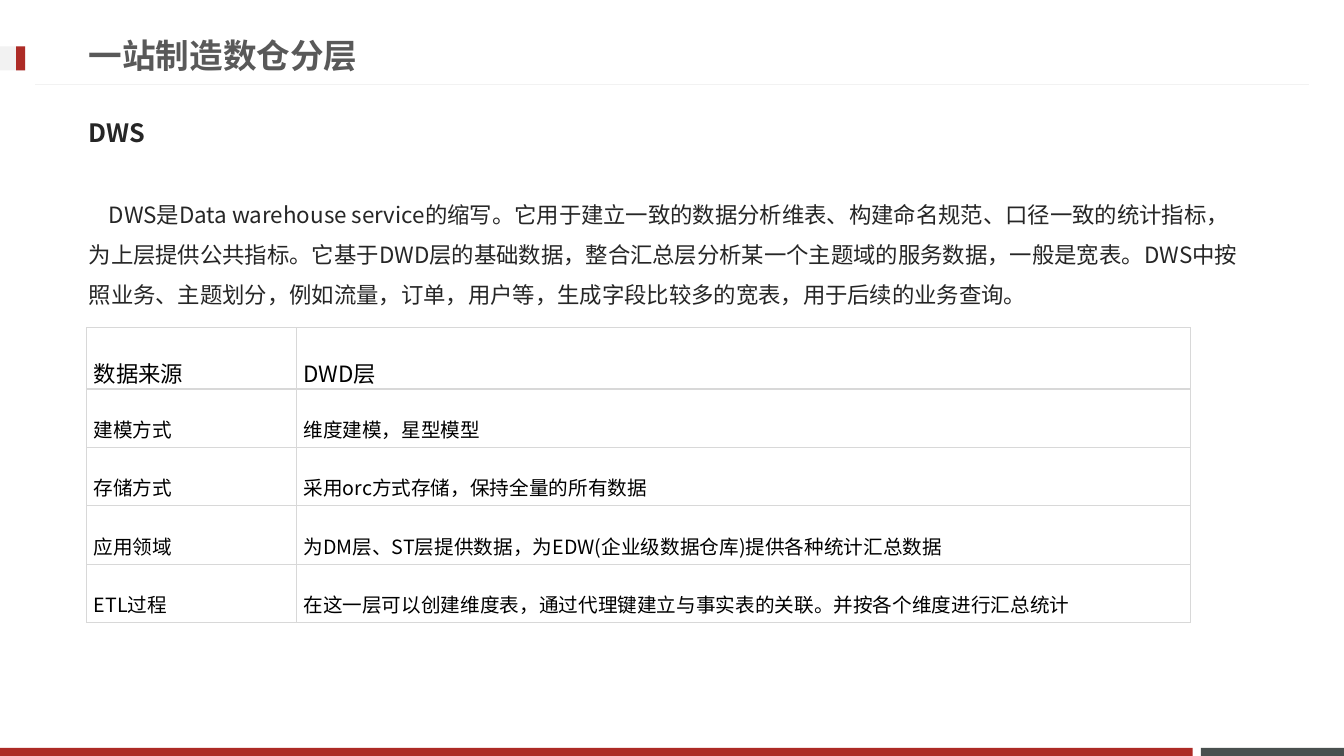
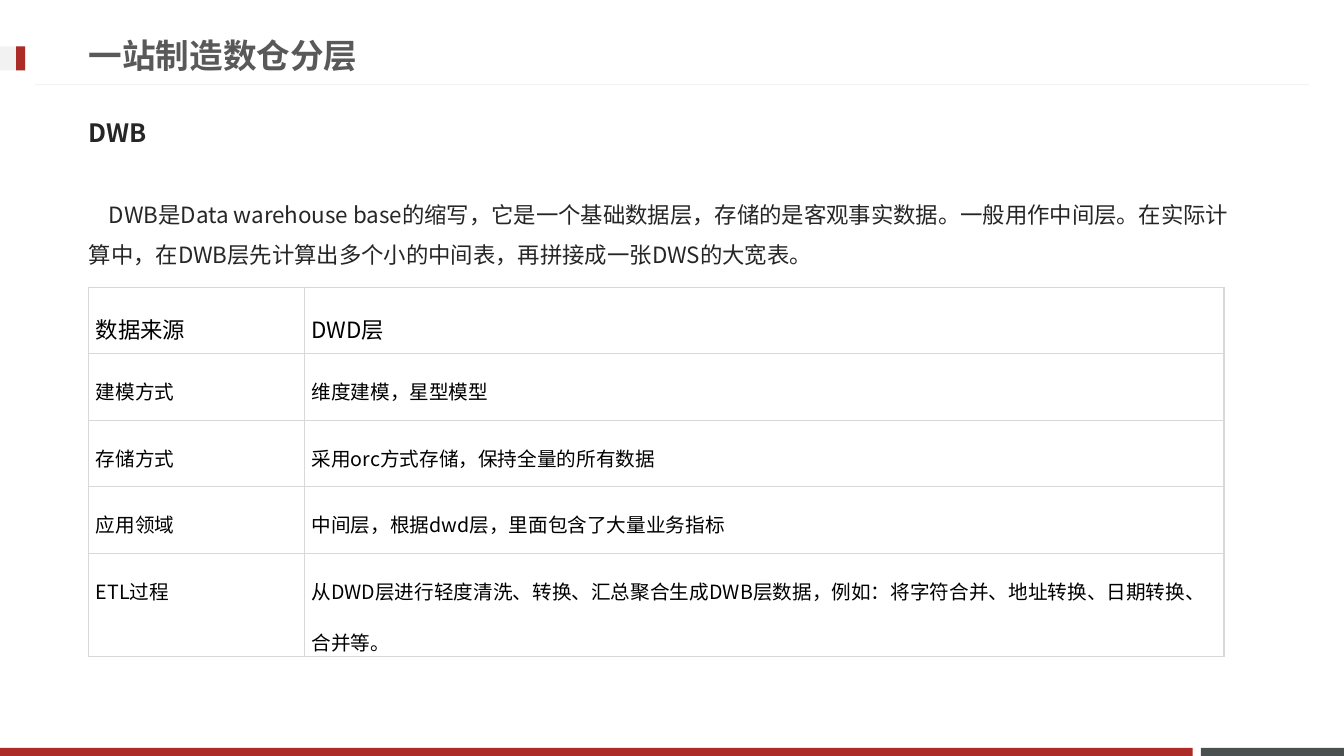
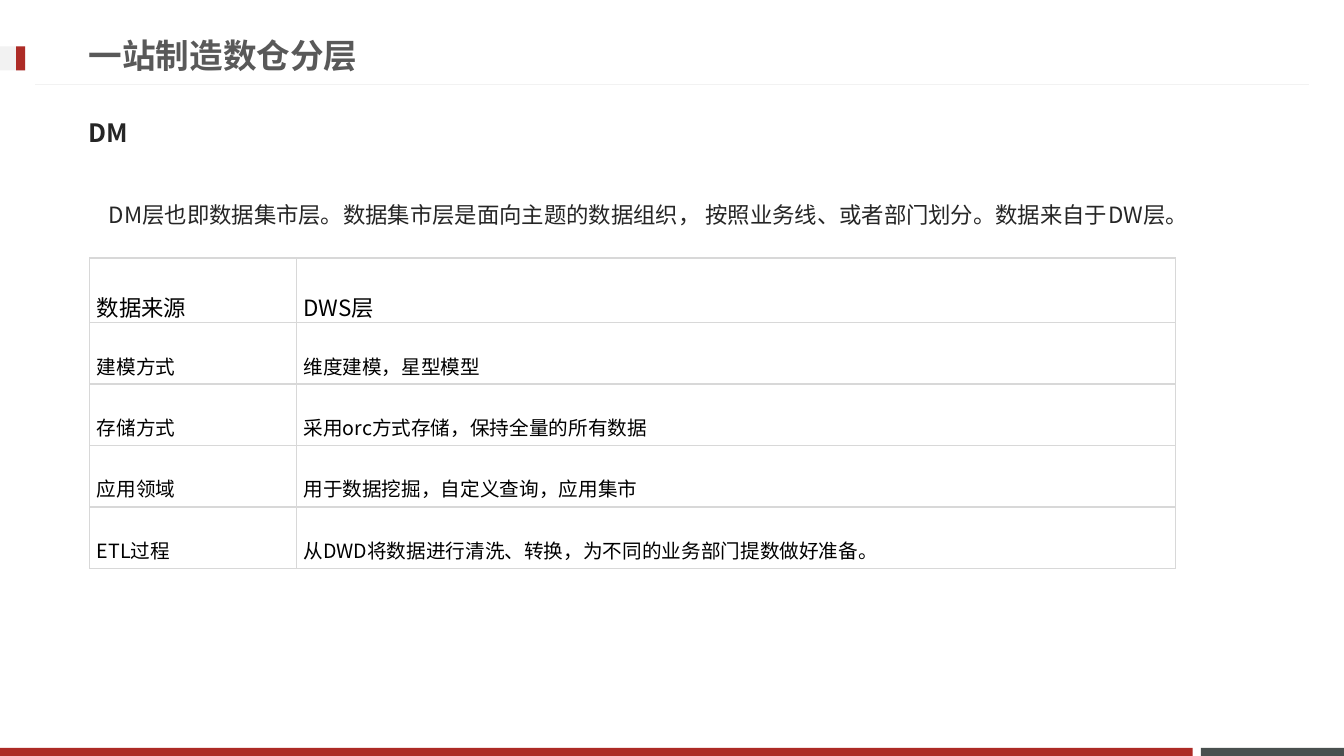
from dataclasses import dataclass

from lxml import etree
from pptx import Presentation
from pptx.dml.color import RGBColor
from pptx.enum.shapes import MSO_CONNECTOR, MSO_SHAPE
from pptx.enum.text import MSO_ANCHOR, MSO_AUTO_SIZE, PP_ALIGN
from pptx.oxml.ns import qn
from pptx.util import Inches, Pt

RECT = MSO_SHAPE.RECTANGLE
STRAIGHT = MSO_CONNECTOR.STRAIGHT
TOP, MIDDLE = MSO_ANCHOR.TOP, MSO_ANCHOR.MIDDLE
LEFT = PP_ALIGN.LEFT
NO_AUTOFIT = MSO_AUTO_SIZE.NONE

COLORS = {
    "red": "AD2B26",
    "slate": "49504F",
    "pale": "F2F2F2",
    "title": "595959",
    "body": "262626",
    "cell": "000000",
    "border": "D8D8D8",
}
TITLE = "一站制造数仓分层"
ROW_LABELS = ("数据来源", "建模方式", "存储方式", "应用领域", "ETL过程")
TWO_CONTENT_LAYOUT = 3


@dataclass(frozen=True)
class Box:
    left: float
    top: float
    width: float
    height: float

    def emu(self) -> tuple:
        return tuple(Inches(v) for v in (self.left, self.top, self.width, self.height))


@dataclass(frozen=True)
class TextStyle:
    size: int
    color: str
    latin: str
    east_asian: str
    bold: bool = False


@dataclass(frozen=True)
class Band:
    box: Box
    color: str


@dataclass(frozen=True)
class LayerTable:
    left: float
    top: float
    col_widths: tuple
    row_heights: tuple
    line_spacing: float
    values: tuple


@dataclass(frozen=True)
class Layer:
    name: str
    description: str
    table: LayerTable


JP, SC = "Noto Sans CJK JP", "Noto Sans CJK SC"
TITLE_STYLE = TextStyle(24, "title", "Lato", SC, True)
HEADING_STYLE = TextStyle(18, "body", JP, JP, True)
BODY_STYLE = TextStyle(16, "body", JP, JP)
FIRST_ROW_STYLE = TextStyle(16, "cell", SC, SC)
ROW_STYLE = TextStyle(14, "cell", SC, SC)

TITLE_BOX = Box(0.78, 0.26, 9.59, 0.57)
HEADING_BOX = Box(0.78, 1.03, 11.7, 0.57)
BODY_BOX = Box(0.78, 1.81, 11.7, 4.61)

BANDS = (
    Band(Box(11.91, 7.42, 1.42, 0.08), "slate"),
    Band(Box(0, 7.42, 11.83, 0.08), "red"),
    Band(Box(0, 0.46, 0.25, 0.24), "pale"),
    Band(Box(0.16, 0.46, 0.09, 0.24), "red"),
)

LAYERS = (
    Layer(
        "DWS",
        "DWS是Data warehouse service的缩写。它用于建立一致的数据分析维表、构建命名规范、"
        "口径一致的统计指标，为上层提供公共指标。它基于DWD层的基础数据，整合汇总层分析某一个"
        "主题域的服务数据，一般是宽表。DWS中按照业务、主题划分，例如流量，订单，用户等，"
        "生成字段比较多的宽表，用于后续的业务查询。",
        LayerTable(0.86, 3.25, (2.08, 8.87), (0.58,) * 5, 1.9, (
            "DWD层",
            "维度建模，星型模型",
            "采用orc方式存储，保持全量的所有数据",
            "为DM层、ST层提供数据，为EDW(企业级数据仓库)提供各种统计汇总数据",
            "在这一层可以创建维度表，通过代理键建立与事实表的关联。并按各个维度进行汇总统计",
        )),
    ),
    Layer(
        "DWB",
        "DWB是Data warehouse base的缩写，它是一个基础数据层，存储的是客观事实数据。"
        "一般用作中间层。在实际计算中，在DWB层先计算出多个小的中间表，再拼接成一张DWS的大宽表。",
        LayerTable(0.88, 2.85, (2.14, 9.12), (0.66,) * 4 + (0.89,), 1.8, (
            "DWD层",
            "维度建模，星型模型",
            "采用orc方式存储，保持全量的所有数据",
            "中间层，根据dwd层，里面包含了大量业务指标",
            "从DWD层进行轻度清洗、转换、汇总聚合生成DWB层数据，例如：将字符合并、"
            "地址转换、日期转换、合并等。",
        )),
    ),
    Layer(
        "DM",
        "DM层也即数据集市层。数据集市层是面向主题的数据组织， 按照业务线、或者部门划分。"
        "数据来自于DW层。",
        LayerTable(0.89, 2.56, (2.05, 8.72), (0.61,) * 5, 2.0, (
            "DWS层",
            "维度建模，星型模型",
            "采用orc方式存储，保持全量的所有数据",
            "用于数据挖掘，自定义查询，应用集市",
            "从DWD将数据进行清洗、转换，为不同的业务部门提数做好准备。",
        )),
    ),
)


def rgb(name: str) -> RGBColor:
    return RGBColor.from_string(COLORS[name])


def write_text(tf, text: str, style: TextStyle):
    """Set one left-aligned paragraph and return it."""
    tf.text = text
    p = tf.paragraphs[0]
    p.alignment = LEFT
    for r in p.runs:
        r.font.size = Pt(style.size)
        r.font.bold = style.bold
        r.font.color.rgb = rgb(style.color)
        r.font.name = style.latin
        ea = etree.SubElement(r.font._element, qn("a:ea"))
        ea.set("typeface", style.east_asian)
    return p


def fill_placeholder(sp, box: Box, text: str, style: TextStyle, anchor):
    sp.left, sp.top, sp.width, sp.height = box.emu()
    tf = sp.text_frame
    tf.word_wrap = True
    tf.auto_size = NO_AUTOFIT
    tf.vertical_anchor = anchor
    return write_text(tf, text, style)


def remove_bullet(p, first_line: float = 0) -> None:
    pPr = p._p.get_or_add_pPr()
    pPr.set("marL", "0")
    pPr.set("indent", str(Inches(first_line)))
    etree.SubElement(pPr, qn("a:buNone"))


def draw_frame(s) -> None:
    """Draw the bands, title marker and title rule shared by all slides."""
    for band in BANDS:
        sp = s.shapes.add_shape(RECT, *band.box.emu())
        sp.shadow.inherit = False
        sp.fill.solid()
        sp.fill.fore_color.rgb = rgb(band.color)
        sp.line.fill.background()
    rule = s.shapes.add_connector(
        STRAIGHT, Inches(12.98), Inches(0.84), Inches(0.35), Inches(0.84))
    rule.line.color.rgb = rgb("pale")
    rule.line.width = Pt(0.75)
    etree.SubElement(rule._element.spPr, qn("a:effectLst"))


def set_borders(cell) -> None:
    tcPr = cell._tc.get_or_add_tcPr()
    for i, side in enumerate(("lnL", "lnR", "lnT", "lnB")):
        ln = etree.Element(qn(f"a:{side}"), w=str(Pt(1)))
        fill = etree.SubElement(ln, qn("a:solidFill"))
        etree.SubElement(fill, qn("a:srgbClr"), val=COLORS["border"])
        tcPr.insert(i, ln)


def draw_table(s, spec: LayerTable) -> None:
    box = Box(spec.left, spec.top, sum(spec.col_widths), sum(spec.row_heights))
    table = s.shapes.add_table(len(ROW_LABELS), 2, *box.emu()).table
    table.first_row = False
    table.horz_banding = False
    for col, width in zip(table.columns, spec.col_widths):
        col.width = Inches(width)
    for row, height in zip(table.rows, spec.row_heights):
        row.height = Inches(height)
    for i, texts in enumerate(zip(ROW_LABELS, spec.values)):
        style = ROW_STYLE if i else FIRST_ROW_STYLE
        for j, text in enumerate(texts):
            cell = table.cell(i, j)
            cell.margin_left = cell.margin_right = Inches(0.07)
            cell.margin_top = cell.margin_bottom = 0
            cell.vertical_anchor = TOP
            cell.fill.background()
            set_borders(cell)
            p = write_text(cell.text_frame, text, style)
            p.line_spacing = spec.line_spacing


def add_layer_slide(prs, layer: Layer) -> None:
    s = prs.slides.add_slide(prs.slide_layouts[TWO_CONTENT_LAYOUT])
    title, heading, body = s.placeholders
    draw_frame(s)
    fill_placeholder(title, TITLE_BOX, TITLE, TITLE_STYLE, MIDDLE)
    p = fill_placeholder(heading, HEADING_BOX, layer.name, HEADING_STYLE, MIDDLE)
    remove_bullet(p)
    p = fill_placeholder(body, BODY_BOX, layer.description, BODY_STYLE, TOP)
    p.line_spacing = 1.5
    remove_bullet(p, first_line=0.2)
    draw_table(s, layer.table)


def main() -> None:
    prs = Presentation()
    prs.slide_width, prs.slide_height = Inches(13.33), Inches(7.5)
    for layer in LAYERS:
        add_layer_slide(prs, layer)
    prs.save("out.pptx")


if __name__ == "__main__":
    main()
